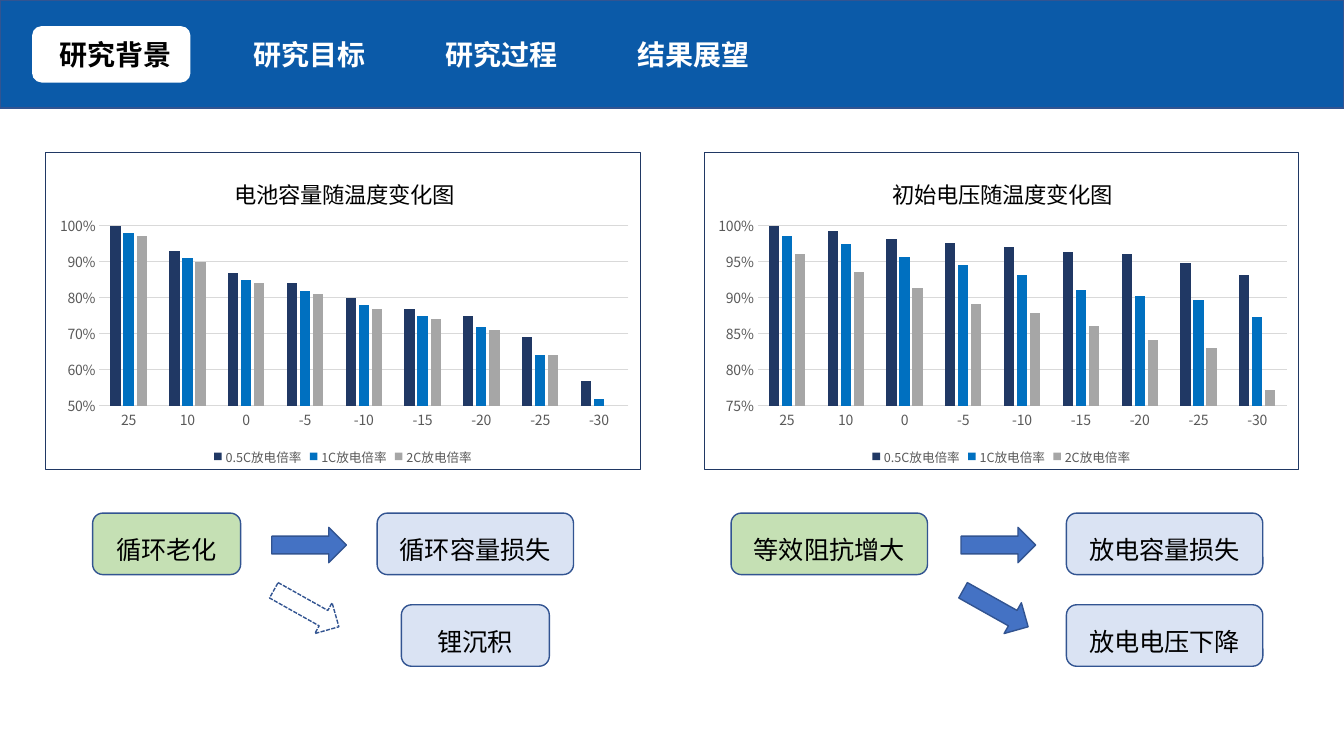
from lxml import etree
from pptx import Presentation
from pptx.chart.data import CategoryChartData
from pptx.dml.color import RGBColor
from pptx.enum.chart import XL_CHART_TYPE, XL_LEGEND_POSITION, XL_TICK_MARK
from pptx.enum.dml import MSO_LINE
from pptx.enum.shapes import MSO_SHAPE
from pptx.enum.text import MSO_ANCHOR, MSO_AUTO_SIZE, PP_ALIGN
from pptx.oxml import parse_xml
from pptx.oxml.ns import nsdecls, qn
from pptx.util import Cm, Pt

RECTANGLE = MSO_SHAPE.RECTANGLE
ROUNDED = MSO_SHAPE.ROUNDED_RECTANGLE
RIGHT_ARROW = MSO_SHAPE.RIGHT_ARROW
COLUMNS = XL_CHART_TYPE.COLUMN_CLUSTERED
BOTTOM = XL_LEGEND_POSITION.BOTTOM
NO_TICK = XL_TICK_MARK.NONE
DASHED = MSO_LINE.SQUARE_DOT
MIDDLE = MSO_ANCHOR.MIDDLE
LEFT, CENTER = PP_ALIGN.LEFT, PP_ALIGN.CENTER

FONT = "Noto Sans CJK SC"
BLACK, WHITE, GRAY, GRID = "000000", "FFFFFF", "595959", "D9D9D9"
BAND, OUTLINE, ARROW, NAVY = "0B5AA8", "325491", "4472C4", "203864"
CAUSE, EFFECT = "C5E0B4", "DAE3F3"

TABS = ["研究背景", "研究目标", "研究过程", "结果展望"]
TEMPERATURES = ["25", "10", "0", "-5", "-10", "-15", "-20", "-25", "-30"]
RATES = [("0.5C放电倍率", NAVY), ("1C放电倍率", "0070C0"), ("2C放电倍率", "A6A6A6")]
CAPACITY = [
    [1, 0.93, 0.87, 0.84, 0.8, 0.77, 0.75, 0.69, 0.57],
    [0.98, 0.91, 0.85, 0.82, 0.78, 0.75, 0.72, 0.64, 0.52],
    [0.97, 0.9, 0.84, 0.81, 0.77, 0.74, 0.71, 0.64, 0.5],
]
VOLTAGE = [
    [1, 0.992, 0.982, 0.976, 0.97, 0.964, 0.96, 0.948, 0.931],
    [0.985, 0.974, 0.957, 0.945, 0.931, 0.911, 0.903, 0.897, 0.873],
    [0.96, 0.936, 0.913, 0.892, 0.879, 0.861, 0.842, 0.83, 0.772],
]


def rgb(color):
    return RGBColor.from_string(color)


def set_font(font, size, color, bold=False):
    """Style Latin and East Asian text alike."""
    font.name, font.size, font.bold = FONT, Pt(size), bold
    font.color.rgb = rgb(color)
    etree.SubElement(font._element, qn("a:ea")).set("typeface", FONT)


def add_shape(slide, kind, left, top, width, height, fill=None, line=None):
    shape = slide.shapes.add_shape(kind, Cm(left), Cm(top), Cm(width), Cm(height))
    shape.shadow.inherit = False
    if fill:
        shape.fill.solid()
        shape.fill.fore_color.rgb = rgb(fill)
    else:
        shape.fill.background()
    if line:
        shape.line.color.rgb = rgb(line)
        shape.line.width = Pt(1)
    else:
        shape.line.fill.background()
    return shape


def write(shape, text, size, color, bold=False, alignment=CENTER, inset_left=0, inset_top=0):
    frame = shape.text_frame
    frame.text = text
    frame.auto_size = MSO_AUTO_SIZE.NONE
    frame.word_wrap = True
    frame.vertical_anchor = MIDDLE
    frame.margin_left, frame.margin_top = Cm(inset_left), Cm(inset_top)
    frame.margin_right = frame.margin_bottom = 0
    paragraph = frame.paragraphs[0]
    paragraph.alignment = alignment
    set_font(paragraph.font, size, color, bold)


def add_navigation(slide, width, height):
    """Band of tabs; the active tab carries the slide title."""
    add_shape(slide, RECTANGLE, 0, 0, width, height, BAND, OUTLINE)
    for index, label in enumerate(TABS):
        active = index == 0
        tab = add_shape(slide, ROUNDED, 0.81 + 4.83 * index, 0.66, 3.99, 1.42,
                        WHITE if active else BAND)
        holder = tab
        if active:
            holder = slide.shapes.title
            holder.left, holder.top = tab.left, tab.top
            holder.width, holder.height = tab.width, tab.height
            tab._element.addnext(holder._element)
        write(holder, label, 20, BLACK if active else WHITE, True, LEFT, inset_left=0.69)


def set_layout(parent, left, top, width=None, height=None):
    """Place a chart part by fractions of the chart; a size means the inner plot."""
    for old in parent.findall(qn("c:layout")):
        parent.remove(old)
    settings = [("xMode", "edge"), ("yMode", "edge"), ("x", left), ("y", top)]
    if width:
        settings = [("layoutTarget", "inner"), *settings, ("w", width), ("h", height)]
    inner = "".join(f'<c:{name} val="{value}"/>' for name, value in settings)
    layout = parse_xml(f'<c:layout {nsdecls("c")}><c:manualLayout>{inner}'
                       '</c:manualLayout></c:layout>')
    text = parent.find(qn("c:tx"))
    if text is None:
        parent.insert(0, layout)
    else:
        text.addnext(layout)


def style_axes(chart, minimum, step):
    for axis in (chart.category_axis, chart.value_axis):
        axis.major_tick_mark = axis.minor_tick_mark = NO_TICK
        set_font(axis.tick_labels.font, 10, GRAY)
    values = chart.value_axis
    values.minimum_scale, values.maximum_scale, values.major_unit = minimum, 1, step
    values.tick_labels.number_format = "0%"
    values.tick_labels.number_format_is_linked = False
    values.format.line.fill.background()
    for line in (chart.category_axis.format.line, values.major_gridlines.format.line):
        line.color.rgb = rgb(GRID)
        line.width = Pt(0.75)


def add_rate_chart(slide, left, top, width, height, title, rows, minimum, step):
    data = CategoryChartData(number_format="0%")
    data.categories = TEMPERATURES
    for (name, _), values in zip(RATES, rows):
        data.add_series(name, values)
    chart = slide.shapes.add_chart(COLUMNS, Cm(left), Cm(top), Cm(width), Cm(height), data).chart
    set_font(chart.font, 10, BLACK)

    chart.has_title = True
    chart.chart_title.text_frame.text = title
    set_font(chart.chart_title.text_frame.paragraphs[0].font, 16, BLACK)
    chart.chart_title.include_in_layout = False
    set_layout(chart.chart_title._element, 0.31, 0.06)

    chart.has_legend = True
    chart.legend.position = BOTTOM
    chart.legend.include_in_layout = False
    set_font(chart.legend.font, 9, GRAY)

    style_axes(chart, minimum, step)
    plot = chart.plots[0]
    plot.gap_width, plot.overlap, plot.vary_by_categories = 219, -27, False
    for series, (_, color) in zip(plot.series, RATES):
        series.format.fill.solid()
        series.format.fill.fore_color.rgb = rgb(color)

    space = chart._chartSpace
    set_layout(space.chart.plotArea, 0.09, 0.23, 0.89, 0.57)
    space.chart.addnext(parse_xml(
        f'<c:spPr {nsdecls("c", "a")}><a:solidFill><a:srgbClr val="{WHITE}"/></a:solidFill>'
        f'<a:ln w="{Pt(0.75)}"><a:solidFill><a:srgbClr val="{NAVY}"/></a:solidFill></a:ln>'
        '</c:spPr>'))


def add_box(slide, center, top, text, fill):
    width = 3.73 if len(text) <= 4 else 4.95
    box = add_shape(slide, ROUNDED, center - width / 2, top, width, 1.55, fill, OUTLINE)
    write(box, text, 18, BLACK, inset_top=0.28)


def add_causal_diagram(slide, top, cause_center, effect_center, cause, effects, second_certain):
    """One cause with two effects; an uncertain second effect gets a dashed arrow."""
    add_box(slide, cause_center, top, cause, CAUSE)
    for index, effect in enumerate(effects):
        add_box(slide, effect_center, top + 2.31 * index, effect, EFFECT)
        certain = index == 0 or second_certain
        arrow = add_shape(slide, RIGHT_ARROW, effect_center - 5.13 - 0.07 * index,
                          top + 0.36 + 1.6 * index, 1.88, 0.89,
                          ARROW if certain else None, OUTLINE)
        arrow.rotation = 29.3 * index
        if not certain:
            arrow.line.dash_style = DASHED


def main():
    presentation = Presentation()
    presentation.slide_width, presentation.slide_height = Cm(33.87), Cm(19.05)
    slide = presentation.slides.add_slide(presentation.slide_layouts[5])
    add_navigation(slide, 33.87, 2.72)
    add_rate_chart(slide, 1.14, 3.84, 15.01, 8, "电池容量随温度变化图", CAPACITY, 0.5, 0.1)
    add_rate_chart(slide, 17.73, 3.84, 15.01, 8, "初始电压随温度变化图", VOLTAGE, 0.75, 0.05)
    add_causal_diagram(slide, 12.93, 4.2, 11.98, "循环老化", ["循环容量损失", "锂沉积"], False)
    add_causal_diagram(slide, 12.93, 20.9, 29.35, "等效阻抗增大",
                       ["放电容量损失", "放电电压下降"], True)
    presentation.save("out.pptx")


if __name__ == "__main__":
    main()
